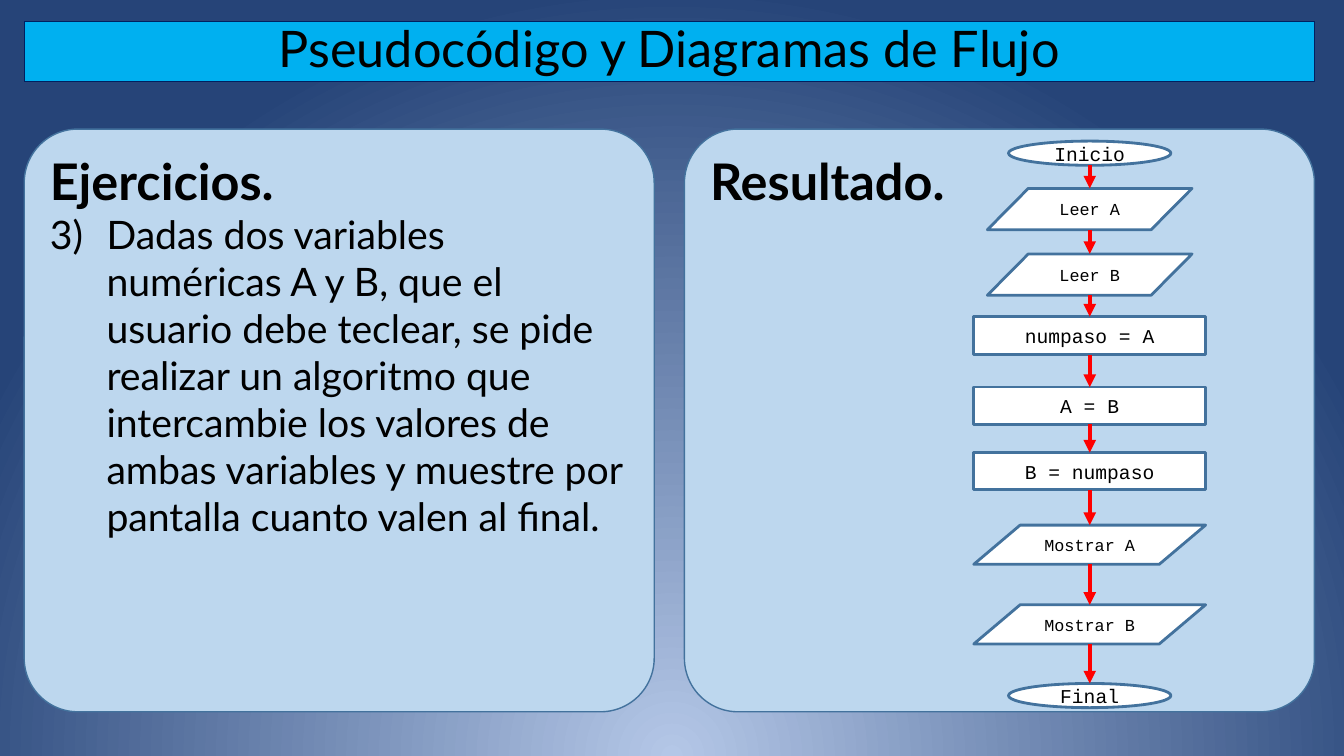
import pptx
import pptx.dml.color
import pptx.enum.shapes
import pptx.enum.text
import pptx.oxml.ns
import pptx.util
from lxml import etree

Pt = pptx.util.Pt
qn = pptx.oxml.ns.qn
SHAPE = pptx.enum.shapes.MSO_SHAPE
ANCHOR = pptx.enum.text.MSO_ANCHOR
ALIGN = pptx.enum.text.PP_ALIGN

BLACK, WHITE, EDGE = "000000", "FFFFFF", "43729D"
FLOW_CENTRE = 778.4
TOP_SITE, BOTTOM_SITE = 0, 2

# text, shape, top, width, height, text size
FLOW_STEPS = [
    ("Inicio", SHAPE.OVAL, 100.8, 116, 17.3, 14),
    ("Leer A", SHAPE.FLOWCHART_DATA, 134.6, 146.2, 29.5, 12),
    ("Leer B", SHAPE.FLOWCHART_DATA, 181.4, 146.2, 29.5, 12),
    ("numpaso = A", SHAPE.RECTANGLE, 226.1, 165.6, 27.4, 14),
    ("A = B", SHAPE.RECTANGLE, 276.5, 165.6, 26.6, 14),
    ("B = numpaso", SHAPE.RECTANGLE, 323.3, 165.6, 26.6, 14),
    ("Mostrar A", SHAPE.FLOWCHART_DATA, 375.1, 165.6, 28, 12),
    ("Mostrar B", SHAPE.FLOWCHART_DATA, 432, 165.6, 28, 12),
    ("Final", SHAPE.OVAL, 488.2, 116, 17.3, 14),
]
EXERCISE = (
    "Dadas dos variables numéricas A y B, que el usuario debe teclear, "
    "se pide realizar un algoritmo que intercambie los valores de ambas "
    "variables y muestre por pantalla cuanto valen al final."
)


def colour(hex_code):
    return pptx.dml.color.RGBColor.from_string(hex_code)


def paint(shape, fill, edge, weight):
    shape.fill.solid()
    shape.fill.fore_color.rgb = colour(fill)
    shape.line.color.rgb = colour(edge)
    shape.line.width = Pt(weight)


def add_text(paragraph, text, size, font="Lato", bold=False, align=ALIGN.LEFT):
    paragraph.alignment = align
    run = paragraph.add_run()
    run.text = text
    run.font.name = font
    run.font.size = Pt(size)
    run.font.bold = bold
    run.font.color.rgb = colour(BLACK)


def set_background(slide):
    fill = slide.background.fill
    fill.gradient()
    for stop, position, shade in zip(fill.gradient_stops, (0, 1), ("B4C7E7", "264478")):
        stop.position = position
        stop.color.rgb = colour(shade)
    # Radial glow from the middle of the bottom edge
    gradient = slide.element.find(".//" + qn("a:gradFill"))
    linear = gradient.find(qn("a:lin"))
    glow = etree.Element(qn("a:path"), {"path": "circle"})
    etree.SubElement(glow, qn("a:fillToRect"), l="50000", t="100000", r="50000", b="0")
    gradient.replace(linear, glow)


def set_title(slide, text):
    title = slide.shapes.title
    title.left, title.top, title.width, title.height = Pt(17.3), Pt(15.1), Pt(921.6), Pt(43.2)
    paint(title, "00B0F0", "002060", 0)
    frame = title.text_frame
    frame.auto_size = pptx.enum.text.MSO_AUTO_SIZE.NONE
    frame.vertical_anchor = ANCHOR.MIDDLE
    frame.paragraphs[0].line_spacing = 0.9
    add_text(frame.paragraphs[0], text, 36, align=ALIGN.CENTER)


def add_panel(slide, left, heading):
    panel = slide.shapes.add_shape(SHAPE.ROUNDED_RECTANGLE, Pt(left), Pt(92.2), Pt(450), Pt(416.2))
    panel.adjustments[0] = 0.092
    panel.shadow.inherit = False
    paint(panel, "BDD7EE", EDGE, 1)
    panel.text_frame.vertical_anchor = ANCHOR.TOP
    add_text(panel.text_frame.paragraphs[0], heading, 36, bold=True)
    return panel


def add_numbered(panel, text, number):
    paragraph = panel.text_frame.add_paragraph()
    properties = paragraph._p.get_or_add_pPr()
    properties.set("marL", str(Pt(40.5)))
    properties.set("indent", str(-Pt(40.5)))
    shade = etree.SubElement(properties, qn("a:buClr"))
    etree.SubElement(shade, qn("a:srgbClr"), val=BLACK)
    etree.SubElement(properties, qn("a:buAutoNum"), type="arabicParenR", startAt=str(number))
    add_text(paragraph, text, 28)


def add_step(slide, text, kind, top, width, height, size):
    step = slide.shapes.add_shape(
        kind, Pt(FLOW_CENTRE - width / 2), Pt(top), Pt(width), Pt(height))
    step.shadow.inherit = False
    paint(step, WHITE, EDGE, 2)
    step.text_frame.vertical_anchor = ANCHOR.MIDDLE
    add_text(step.text_frame.paragraphs[0], text, size, "Courier New", align=ALIGN.CENTER)
    return step


def add_arrow(slide, upper, lower):
    arrow = slide.shapes.add_connector(
        pptx.enum.shapes.MSO_CONNECTOR.STRAIGHT,
        Pt(FLOW_CENTRE), upper.top + upper.height, Pt(FLOW_CENTRE), lower.top)
    if upper.auto_shape_type == SHAPE.RECTANGLE:
        arrow.begin_connect(upper, BOTTOM_SITE)
    if lower.auto_shape_type == SHAPE.RECTANGLE:
        arrow.end_connect(lower, TOP_SITE)
    arrow.line.color.rgb = colour("FF0000")
    arrow.line.width = Pt(3)
    etree.SubElement(arrow.line._get_or_add_ln(), qn("a:tailEnd"), type="triangle")
    etree.SubElement(arrow._element.spPr, qn("a:effectLst"))


def main():
    deck = pptx.Presentation()
    deck.slide_width, deck.slide_height = Pt(960), Pt(540)
    slide = deck.slides.add_slide(deck.slide_layouts[5])
    set_background(slide)
    set_title(slide, "Pseudocódigo y Diagramas de Flujo")

    # Exercise and result panels
    exercise = add_panel(slide, 17.3, "Ejercicios.")
    add_numbered(exercise, EXERCISE, 3)
    add_panel(slide, 488.9, "Resultado.")

    # Flowchart
    steps = [add_step(slide, *step) for step in FLOW_STEPS]
    for upper, lower in zip(steps, steps[1:]):
        add_arrow(slide, upper, lower)

    deck.save("out.pptx")


if __name__ == "__main__":
    main()
